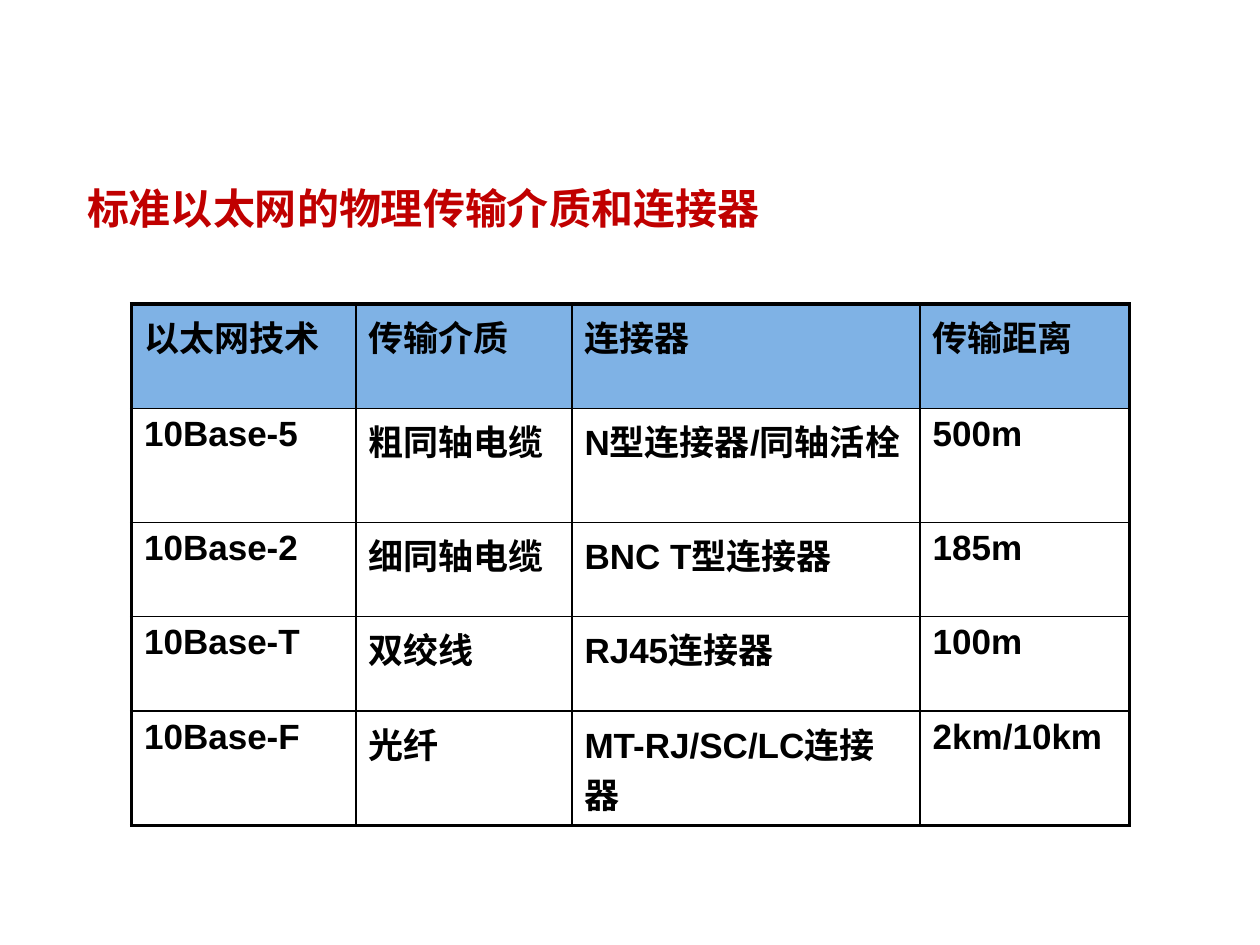
"""Build a slide listing the media and connectors of standard Ethernet."""
from dataclasses import astuple, dataclass

from lxml.etree import SubElement
from pptx import Presentation
from pptx.dml.color import RGBColor
from pptx.enum.text import MSO_ANCHOR, PP_ALIGN
from pptx.oxml.ns import qn
from pptx.util import Cm, Pt

RED = RGBColor(0xC0, 0x00, 0x00)
BLACK = RGBColor(0x00, 0x00, 0x00)
BLUE = RGBColor(0x00, 0x66, 0xCC)
CJK_FONT = "Noto Sans CJK JP"
TITLE_FORMAT = {"size": Pt(24), "bold": True, "name": CJK_FONT}
CELL_FORMAT = {"size": Pt(20), "bold": True, "name": "Arial"}
TITLE_BOX = {"left": Cm(1.5), "top": Cm(3.33), "width": Cm(20.12), "height": Cm(1.7)}
COLUMN_WIDTHS = (4.53, 4.35, 7.02, 4.22)
ROW_HEIGHTS = (2.1, 2.13, 1.9, 1.9, 2.13)
THIN, THICK = Pt(1), Pt(2.25)


@dataclass
class Ethernet:
    technology: str
    medium: str
    connector: str
    distance: str


ROWS = (
    Ethernet("以太网技术", "传输介质", "连接器", "传输距离"),
    Ethernet("10Base-5", "粗同轴电缆", "N型连接器/同轴活栓", "500m"),
    Ethernet("10Base-2", "细同轴电缆", "BNC T型连接器", "185m"),
    Ethernet("10Base-T", "双绞线", "RJ45连接器", "100m"),
    Ethernet("10Base-F", "光纤", "MT-RJ/SC/LC连接器", "2km/10km"),
)


def write(p, text: str, formats: dict, color: RGBColor) -> None:
    r = p.add_run()
    r.text = text
    for name, value in formats.items():
        setattr(r.font, name, value)
    r.font.color.rgb = color
    SubElement(r.font._element, qn("a:ea"), typeface=CJK_FONT)


def set_spacing(p, before: int, after: int) -> None:
    p_pr = p._p.get_or_add_pPr()
    for tag, percent in (("a:spcBef", before), ("a:spcAft", after)):
        SubElement(SubElement(p_pr, qn(tag)), qn("a:spcPct"), val=str(percent * 1000))


def set_borders(cell, row: int, col: int) -> None:
    outer = {
        "a:lnL": col == 0,
        "a:lnR": col == len(COLUMN_WIDTHS) - 1,
        "a:lnT": row == 0,
        "a:lnB": row == len(ROWS) - 1,
    }
    tc_pr = cell._tc.get_or_add_tcPr()
    for tag, is_outer in outer.items():
        ln = SubElement(tc_pr, qn(tag), w=str(THICK if is_outer else THIN))
        SubElement(SubElement(ln, qn("a:solidFill")), qn("a:srgbClr"), val=str(BLACK))


def fill_cell(cell, is_header: bool) -> None:
    if not is_header:
        cell.fill.background()
        return
    cell.fill.solid()
    cell.fill.fore_color.rgb = BLUE
    color = cell._tc.tcPr.find(qn("a:solidFill")).find(qn("a:srgbClr"))
    SubElement(color, qn("a:alpha"), val="50000")


def add_title(s, text: str) -> None:
    sp = s.shapes.title
    for name, value in TITLE_BOX.items():
        setattr(sp, name, value)
    tf = sp.text_frame
    tf.vertical_anchor = MSO_ANCHOR.MIDDLE
    p = tf.paragraphs[0]
    p.alignment = PP_ALIGN.LEFT
    write(p, text, TITLE_FORMAT, RED)


def add_ethernet_table(s) -> None:
    table = s.shapes.add_table(
        len(ROWS), len(COLUMN_WIDTHS), Cm(2.65), Cm(6.13),
        Cm(sum(COLUMN_WIDTHS)), Cm(sum(ROW_HEIGHTS)),
    ).table
    table.horz_banding = False
    for column, width in zip(table.columns, COLUMN_WIDTHS):
        column.width = Cm(width)
    for i, (row, height, entry) in enumerate(zip(table.rows, ROW_HEIGHTS, ROWS)):
        row.height = Cm(height)
        for j, (cell, text) in enumerate(zip(row.cells, astuple(entry))):
            p = cell.text_frame.paragraphs[0]
            set_spacing(p, 10, 25)
            write(p, text, CELL_FORMAT, BLACK)
            set_borders(cell, i, j)
            fill_cell(cell, i == 0)


def main() -> None:
    prs = Presentation()
    prs.slide_width, prs.slide_height = Cm(25.4), Cm(19.05)
    s = prs.slides.add_slide(prs.slide_layouts[5])
    add_title(s, "标准以太网的物理传输介质和连接器")
    add_ethernet_table(s)
    prs.save("out.pptx")


if __name__ == "__main__":
    main()
